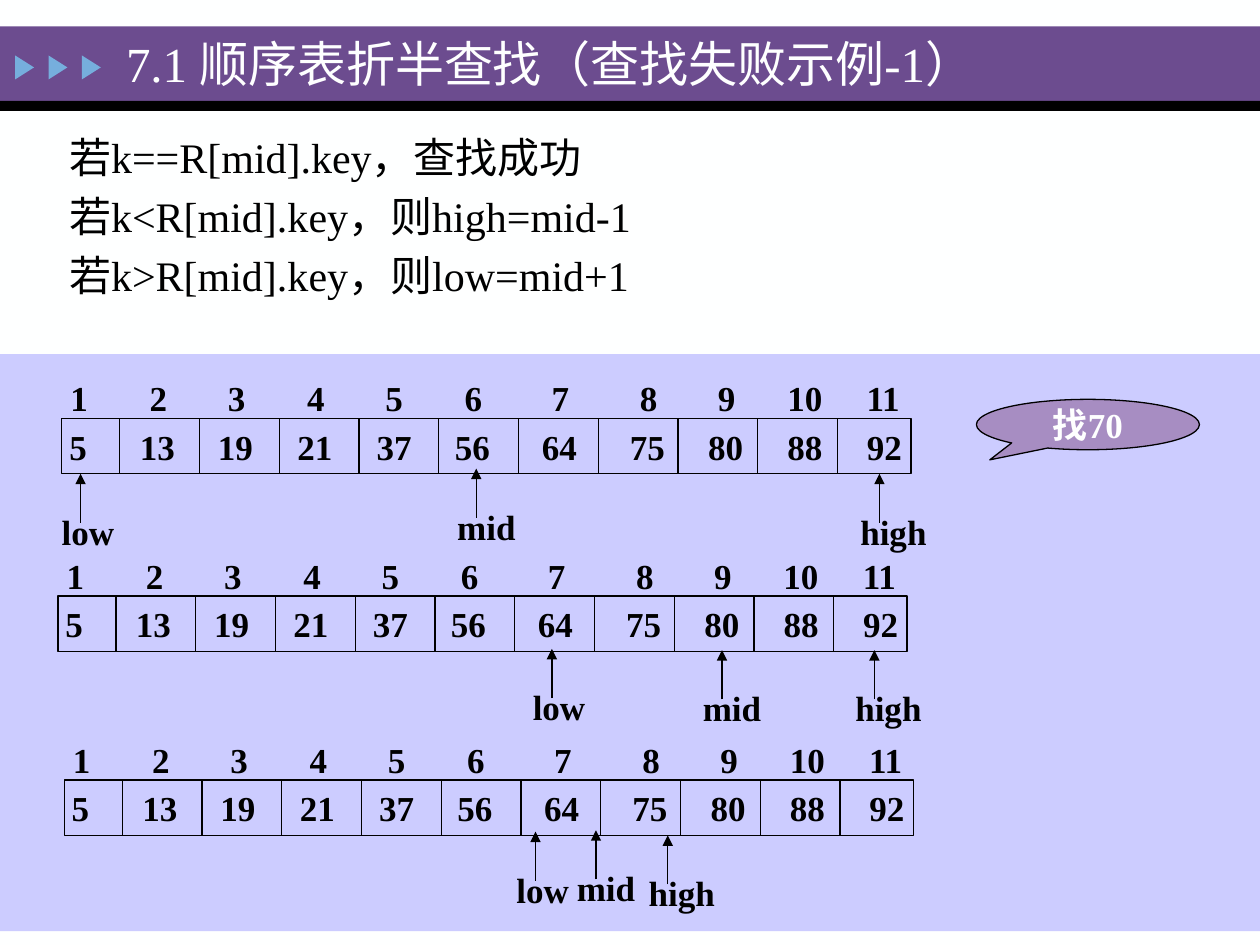
from dataclasses import dataclass

from lxml import etree
from pptx import Presentation
from pptx.dml.color import RGBColor
from pptx.enum.shapes import MSO_CONNECTOR, MSO_SHAPE
from pptx.enum.text import MSO_ANCHOR, MSO_AUTO_SIZE, PP_ALIGN
from pptx.oxml.ns import qn
from pptx.util import Emu, Inches, Pt

RECTANGLE = MSO_SHAPE.RECTANGLE
TRIANGLE = MSO_SHAPE.ISOSCELES_TRIANGLE
CALLOUT = MSO_SHAPE.OVAL_CALLOUT
STRAIGHT = MSO_CONNECTOR.STRAIGHT
MIDDLE, TOP = MSO_ANCHOR.MIDDLE, MSO_ANCHOR.TOP
LEFT, CENTER = PP_ALIGN.LEFT, PP_ALIGN.CENTER
NO_AUTOFIT = MSO_AUTO_SIZE.NONE

FONT = "Times New Roman"
COLORS = {
    "background": "FEFFFF",
    "header": "6C4C8F",
    "marker": "76AEDD",
    "panel": "CCCCFF",
    "callout": "A78DC2",
    "black": "000000",
}
INDEXES = "\t".join(str(number) for number in range(1, 12))
KEYS = "5\t13\t19\t21\t37\t56\t64\t75\t80\t88\t92"
INDEX_TABS = (0.63, 1.25, 1.88, 2.5, 3.13, 3.82, 4.52, 5.14, 5.69, 6.32)
KEY_TABS = (0.56, 1.18, 1.81, 2.44, 3.06, 3.75, 4.45, 5.07, 5.7, 6.33)
ROW_WIDTH, ROW_HEIGHT = 6.74, 0.44
FIRST_DIVIDER, DIVIDER_STEP = 0.46, 0.633
LABEL_WIDTHS = {"low": 0.62, "mid": 0.66, "high": 0.73}
RULES = (
    "若k==R[mid].key，查找成功\n"
    "若k<R[mid].key，则high=mid-1\n"
    "若k>R[mid].key，则low=mid+1"
)


@dataclass
class Pointer:
    label: str
    x: float
    y: float


@dataclass
class SearchStep:
    left: float
    top: float
    pointers: tuple[Pointer, ...]


STEPS = (
    SearchStep(0.49, 3.32, (
        Pointer("low", 0.64, 3.76),
        Pointer("high", 6.98, 3.76),
        Pointer("mid", 3.78, 3.72),
    )),
    SearchStep(0.46, 4.73, (
        Pointer("low", 4.38, 5.15),
        Pointer("high", 6.94, 5.16),
        Pointer("mid", 5.73, 5.16),
    )),
    SearchStep(0.51, 6.19, (
        Pointer("low", 4.25, 6.6),
        Pointer("high", 5.3, 6.63),
        Pointer("mid", 4.73, 6.59),
    )),
)


def color(name: str) -> RGBColor:
    return RGBColor.from_string(COLORS[name])


def write(shape, text: str, *, size: float = 20, bold: bool = True,
          fill: str = "black", align=LEFT, anchor=TOP, wrap: bool = False,
          tabs: tuple = (), space_before: float = 0) -> None:
    frame = shape.text_frame
    frame.auto_size = NO_AUTOFIT
    frame.word_wrap = wrap
    frame.vertical_anchor = anchor
    for position, line in enumerate(text.split("\n")):
        paragraph = frame.paragraphs[0] if position == 0 else frame.add_paragraph()
        paragraph.text = line
        paragraph.alignment = align
        paragraph.space_before = Pt(space_before if position else 0)
        if tabs:
            tab_list = etree.SubElement(paragraph._p.get_or_add_pPr(), qn("a:tabLst"))
            for tab in tabs:
                etree.SubElement(tab_list, qn("a:tab"), pos=str(Inches(tab)), algn="l")
        font = paragraph.font
        font.name, font.size, font.bold = FONT, Pt(size), bold
        font.color.rgb = color(fill)


def add_text(slide, left: float, top: float, width: float, height: float,
             text: str, **style) -> None:
    box = slide.shapes.add_textbox(Inches(left), Inches(top), Inches(width), Inches(height))
    write(box, text, **style)


def add_block(slide, kind, left: float, top: float, width: float, height: float,
              fill: str = "", outlined: bool = False):
    shape = slide.shapes.add_shape(
        kind, Inches(left), Inches(top), Inches(width), Inches(height))
    shape.shadow.inherit = False
    if fill:
        shape.fill.solid()
        shape.fill.fore_color.rgb = color(fill)
    else:
        shape.fill.background()
    if outlined:
        shape.line.color.rgb = color("black")
        shape.line.width = Pt(0.75)
    else:
        shape.line.fill.background()
    return shape


def add_line(slide, x: float, start: float, end: float, arrow: bool = False) -> None:
    connector = slide.shapes.add_connector(
        STRAIGHT, Inches(x), Inches(start), Inches(x), Inches(end))
    connector.line.color.rgb = color("black")
    connector.line.width = Pt(0.75)
    properties = connector._element.spPr
    if arrow:
        etree.SubElement(properties.find(qn("a:ln")), qn("a:tailEnd"), type="triangle")
    etree.SubElement(properties, qn("a:effectLst"))


def add_step(slide, step: SearchStep) -> None:
    add_text(slide, step.left - 0.03, step.top - 0.38, 6.9, 0.43, INDEXES,
             wrap=True, tabs=INDEX_TABS)
    row = add_block(slide, RECTANGLE, step.left, step.top, ROW_WIDTH, ROW_HEIGHT,
                    outlined=True)
    row.text_frame.margin_left = Inches(0.06)
    row.text_frame.margin_right = Emu(0)
    write(row, KEYS, anchor=MIDDLE, wrap=True, tabs=KEY_TABS)
    for number in range(10):
        x = step.left + FIRST_DIVIDER + number * DIVIDER_STEP
        add_line(slide, x, step.top, step.top + ROW_HEIGHT)
    for pointer in step.pointers:
        add_line(slide, pointer.x, pointer.y + 0.39, pointer.y, arrow=True)
        add_text(slide, pointer.x - 0.25, pointer.y + 0.24,
                 LABEL_WIDTHS[pointer.label], 0.43, pointer.label)


def add_header(slide) -> None:
    add_block(slide, RECTANGLE, 0, 0.21, 10, 0.59, "header")
    add_block(slide, RECTANGLE, 0, 0.8, 10, 0.08, "black")
    for number in range(3):
        marker = add_block(slide, TRIANGLE, 0.1 + number * 0.265, 0.46, 0.19, 0.15, "marker")
        marker.rotation = 90
    title = slide.shapes.title
    title.left, title.top = Inches(0.9), Inches(0.22)
    title.width, title.height = Inches(8.2), Inches(0.56)
    write(title, "7.1 顺序表折半查找（查找失败示例-1）", size=28, bold=False,
          fill="background", anchor=MIDDLE, wrap=True)
    title.element.getparent().append(title.element)


def main() -> None:
    presentation = Presentation()
    presentation.slide_width, presentation.slide_height = Inches(10), Inches(7.5)
    slide = presentation.slides.add_slide(presentation.slide_layouts[5])
    slide.background.fill.solid()
    slide.background.fill.fore_color.rgb = color("background")

    add_header(slide)
    add_block(slide, RECTANGLE, 0, 2.81, 10, 4.58, "panel")
    for step in STEPS:
        add_step(slide, step)
    callout = add_block(slide, CALLOUT, 7.75, 3.17, 1.77, 0.4, "callout", outlined=True)
    callout.adjustments[0], callout.adjustments[1] = -0.44, 0.7
    write(callout, "找70", fill="background", align=CENTER, anchor=MIDDLE)
    add_text(slide, 0.45, 0.95, 9.06, 1.53, RULES, size=24, bold=False,
             anchor=MIDDLE, wrap=True, space_before=5)
    presentation.save("out.pptx")


if __name__ == "__main__":
    main()
